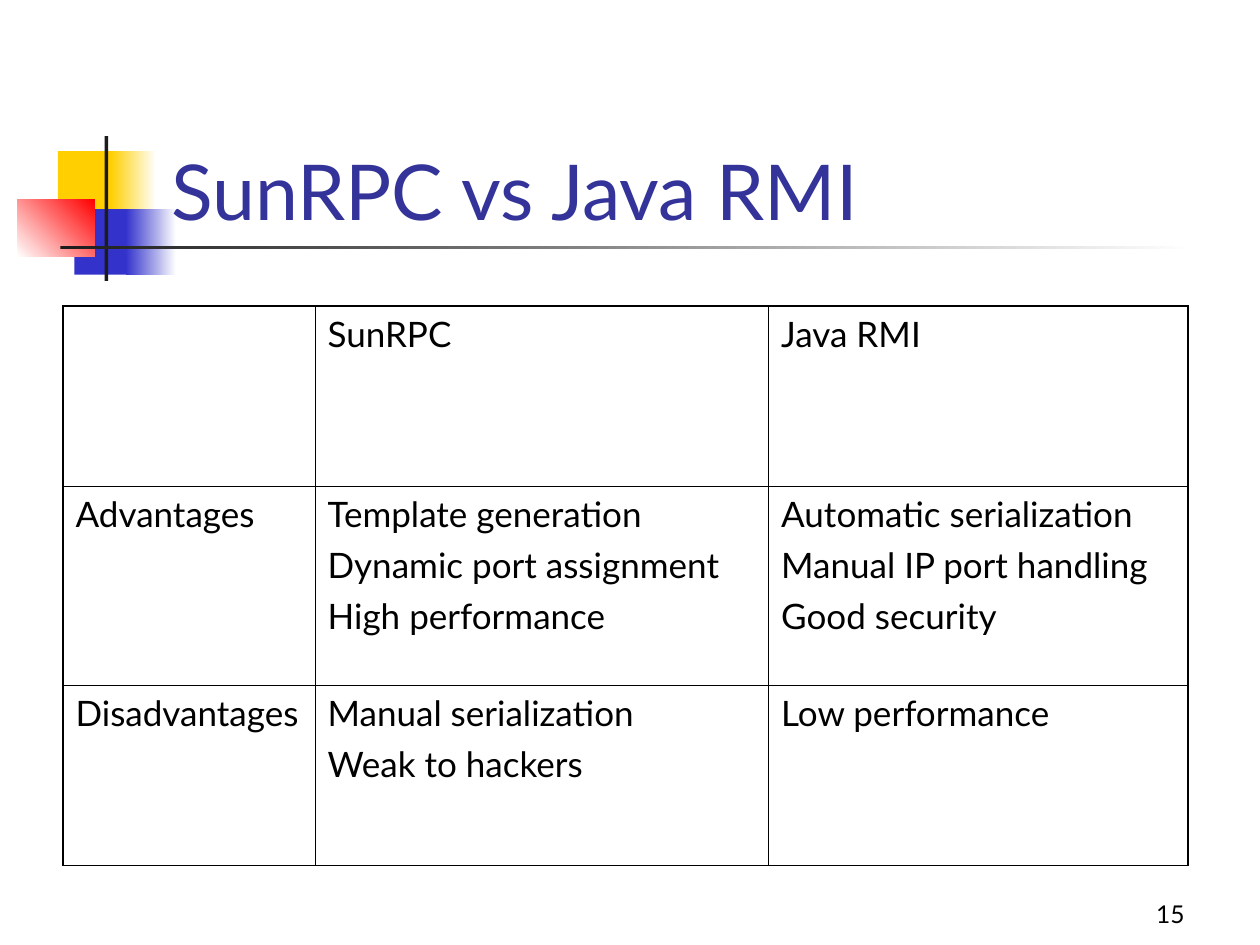
from lxml.etree import SubElement
from pptx import Presentation
from pptx.dml.color import RGBColor
from pptx.enum.shapes import MSO_SHAPE as Shape
from pptx.enum.text import MSO_ANCHOR as Anchor, MSO_AUTO_SIZE as AutoSize, PP_ALIGN as Align
from pptx.oxml.ns import qn
from pptx.util import Inches, Pt

FONT = "Lato"
BLACK, WHITE, CHARCOAL = "000000", "FFFFFF", "1C1C1C"
YELLOW, BLUE, RED, TITLE_BLUE = "FFCF01", "3333CC", "FF0000", "333399"
THIN, THICK = 0.45, 1.08

# left, top, width, height, colours (two make a gradient), gradient angle
ORNAMENTS = [
    (0.46, 1.2, 0.48, 0.52, [YELLOW], 0),
    (0.88, 1.2, 0.36, 0.52, [YELLOW, WHITE], 0),
    (0.59, 1.66, 0.46, 0.52, [BLUE], 0),
    (1, 1.66, 0.4, 0.52, [BLUE, WHITE], 0),
    (0.14, 1.58, 0.61, 0.46, [WHITE, RED], 45),
    (0.83, 1.08, 0.03, 1.15, [CHARCOAL], 0),
    (0.48, 1.95, 9, 0.03, [CHARCOAL, WHITE], 0),
]
COLUMN_WIDTHS = [2, 3.6, 3.33]
ROW_HEIGHTS = [1.43, 1.58, 1.43]
COMPARISON = [
    ["", "SunRPC", "Java RMI"],
    ["Advantages",
     "Template generation\nDynamic port assignment\nHigh performance",
     "Automatic serialization\nManual IP port handling\nGood security"],
    ["Disadvantages", "Manual serialization\nWeak to hackers", "Low performance"],
]


def color(value):
    return RGBColor.from_string(value)


def write_text(frame, text, size=20, fill=BLACK, align=Align.LEFT, gap=0):
    """Write one paragraph per line, with a gap between paragraphs."""
    for index, line in enumerate(text.split("\n")):
        para = frame.paragraphs[0] if index == 0 else frame.add_paragraph()
        para.alignment = align
        para.space_before = Pt(gap if index else 0)
        span = para.add_run()
        span.text = line
        span.font.name = FONT
        span.font.size = Pt(size)
        span.font.color.rgb = color(fill)


def add_ornament(page, left, top, width, height, colors, angle):
    box = page.shapes.add_shape(Shape.RECTANGLE, Inches(left), Inches(top),
                                Inches(width), Inches(height))
    box.shadow.inherit = False
    box.line.fill.background()
    if len(colors) == 1:
        box.fill.solid()
        box.fill.fore_color.rgb = color(colors[0])
    else:
        box.fill.gradient()
        box.fill.gradient_angle = angle
        for stop, value in zip(box.fill.gradient_stops, colors):
            stop.color.rgb = color(value)


def add_title(page, text):
    title = page.shapes.title
    title.left, title.top = Inches(1.26), Inches(0.67)
    title.width, title.height = Inches(8.52), Inches(1.25)
    frame = title.text_frame
    frame.auto_size = AutoSize.NONE
    frame.vertical_anchor = Anchor.BOTTOM
    write_text(frame, text, size=44, fill=TITLE_BLUE)


def add_page_number(page, text):
    box = page.shapes.add_textbox(Inches(7.42), Inches(6.92), Inches(2.08), Inches(0.5))
    frame = box.text_frame
    frame.word_wrap = True
    frame.vertical_anchor = Anchor.BOTTOM
    write_text(frame, text, size=14, align=Align.RIGHT)


def set_border(cell, side, width):
    properties = cell._tc.get_or_add_tcPr()
    line = SubElement(properties, qn(f"a:ln{side}"), w=str(Pt(width)))
    fill = SubElement(line, qn("a:solidFill"))
    SubElement(fill, qn("a:srgbClr"), val=BLACK)


def add_comparison(page):
    frame = page.shapes.add_table(
        len(ROW_HEIGHTS), len(COLUMN_WIDTHS), Inches(0.5), Inches(2.43),
        Inches(sum(COLUMN_WIDTHS)), Inches(sum(ROW_HEIGHTS)))
    table = frame.table
    table.first_row = table.horz_banding = False
    for column, width in zip(table.columns, COLUMN_WIDTHS):
        column.width = Inches(width)
    for row, height in zip(table.rows, ROW_HEIGHTS):
        row.height = Inches(height)

    last_row, last_column = len(ROW_HEIGHTS) - 1, len(COLUMN_WIDTHS) - 1
    for r, texts in enumerate(COMPARISON):
        for c, text in enumerate(texts):
            cell = table.cell(r, c)
            # Outer edges are thick, inner rules thin
            outer = {"L": c == 0, "R": c == last_column, "T": r == 0, "B": r == last_row}
            for side, is_outer in outer.items():
                set_border(cell, side, THICK if is_outer else THIN)
            cell.fill.background()
            if text:
                write_text(cell.text_frame, text, gap=5)


def main():
    deck = Presentation()
    deck.slide_width, deck.slide_height = Inches(10), Inches(7.5)
    page = deck.slides.add_slide(deck.slide_layouts[5])
    page.background.fill.solid()
    page.background.fill.fore_color.rgb = color(WHITE)

    # Corner ornament and title rule
    for ornament in ORNAMENTS:
        add_ornament(page, *ornament)

    # The title sits in front of the ornament
    add_title(page, "SunRPC vs Java RMI")
    page.shapes._spTree.append(page.shapes.title._element)

    add_page_number(page, "15")
    add_comparison(page)
    deck.save("out.pptx")


if __name__ == "__main__":
    main()
